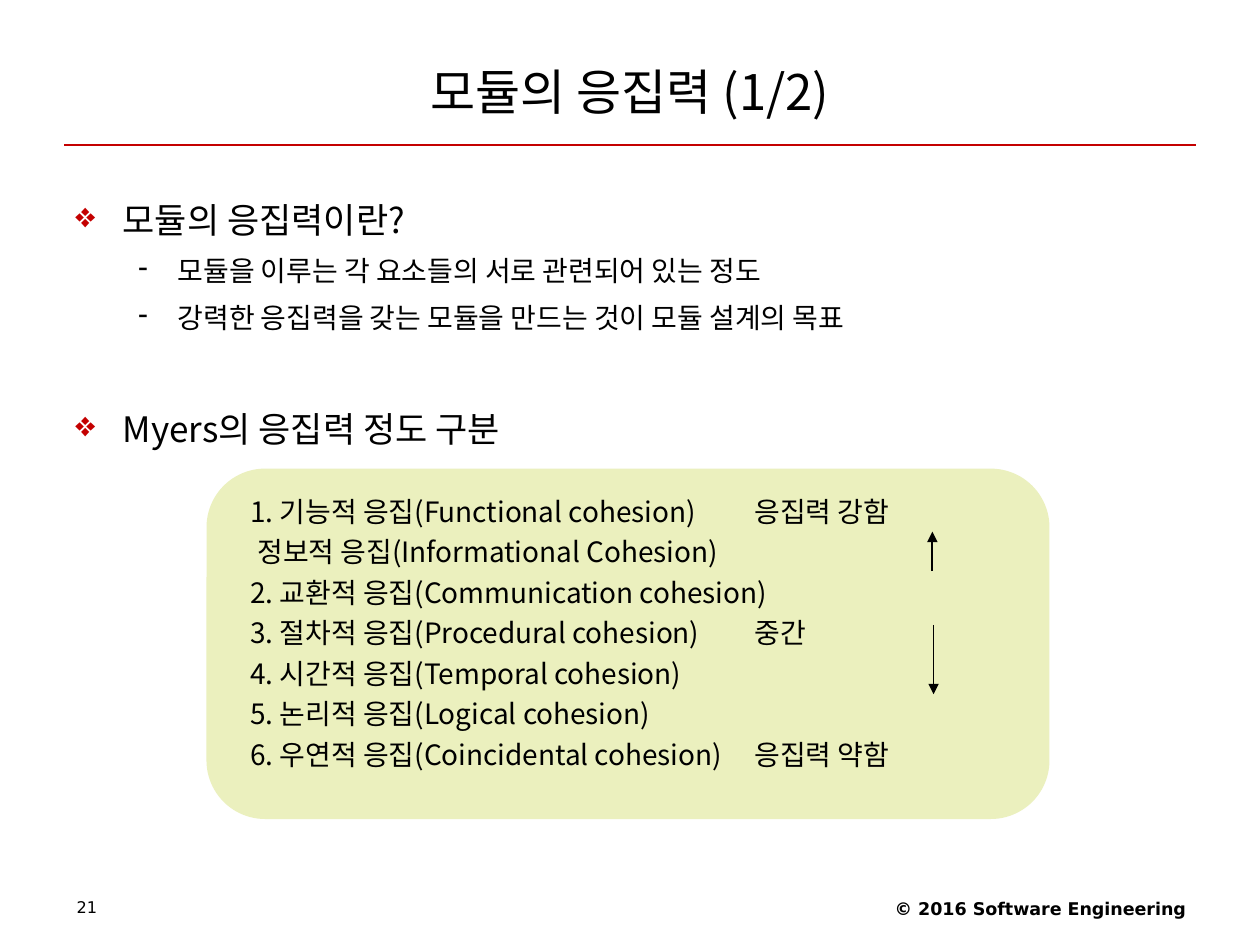
from lxml import etree
from pptx import Presentation
from pptx.dml.color import RGBColor
from pptx.enum import shapes, text
from pptx.oxml import ns
from pptx.util import Pt

COLORS = {"ink": "000000", "accent": "C40000", "panel": "EBF0BE"}
KOREAN = "Noto Sans CJK KR"
LATIN = "DejaVu Sans"

TOPICS = [
    ("모듈의 응집력이란?", [
        "모듈을 이루는 각 요소들의 서로 관련되어 있는 정도",
        "강력한 응집력을 갖는 모듈을 만드는 것이 모듈 설계의 목표",
    ]),
    ("Myers의 응집력 정도 구분", []),
]
COHESION_LEVELS = [
    ("1. 기능적 응집(Functional cohesion)", "응집력 강함", 320.5),
    ("정보적 응집(Informational Cohesion)", None, None),
    ("2. 교환적 응집(Communication cohesion)", None, None),
    ("3. 절차적 응집(Procedural cohesion)", "중간", 337),
    ("4. 시간적 응집(Temporal cohesion)", None, None),
    ("5. 논리적 응집(Logical cohesion)", None, None),
    ("6. 우연적 응집(Coincidental cohesion)", "응집력 약함", 325),
]


def rgb(name):
    return RGBColor.from_string(COLORS[name])


def add_xml(parent, tag, **attributes):
    return etree.SubElement(parent, ns.qn(tag), attributes)


def add_frame(slide, box, anchor=text.MSO_ANCHOR.TOP):
    frame = slide.shapes.add_textbox(*map(Pt, box)).text_frame
    frame.word_wrap = True
    frame.vertical_anchor = anchor
    return frame


def write(frame, words, size, font=KOREAN, bold=False, align=text.PP_ALIGN.LEFT,
          level=0, indent=0, hanging=0, spacing=1.0, before=0, bullet=None,
          bullet_color="ink", tab=None):
    paragraph = frame.paragraphs[0]
    if paragraph.runs:
        paragraph = frame.add_paragraph()
    paragraph.alignment = align
    paragraph.level = level
    paragraph.line_spacing = spacing
    paragraph.space_before = Pt(before)
    properties = paragraph._p.get_or_add_pPr()
    properties.set("marL", str(Pt(indent)))
    properties.set("indent", str(Pt(-hanging)))
    if bullet:
        color = add_xml(properties, "a:buClr")
        add_xml(color, "a:srgbClr", val=COLORS[bullet_color])
        add_xml(properties, "a:buChar", char=bullet)
    if tab:
        stops = add_xml(properties, "a:tabLst")
        add_xml(stops, "a:tab", pos=str(Pt(tab)), algn="l")
    run = paragraph.add_run()
    run.text = words
    run.font.size = Pt(size)
    run.font.name = font
    run.font.bold = bold
    run.font.color.rgb = rgb("ink")
    add_xml(run._r.get_or_add_rPr(), "a:ea", typeface=font)


def add_line(slide, start, end, color, width, arrow=False):
    line = slide.shapes.add_connector(
        shapes.MSO_CONNECTOR.STRAIGHT, *map(Pt, (*start, *end)))
    line.line.color.rgb = rgb(color)
    line.line.width = Pt(width)
    if arrow:
        add_xml(line.line._get_or_add_ln(), "a:tailEnd", type="triangle")
    add_xml(line._element.spPr, "a:effectLst")


def add_title(slide, box):
    left, top, width, height = box
    write(add_frame(slide, box, text.MSO_ANCHOR.MIDDLE), "모듈의 응집력 (1/2)", 28,
          align=text.PP_ALIGN.CENTER)
    rule_y = top + height
    add_line(slide, (left + 0.7, rule_y), (left + width - 0.7, rule_y), "accent", 0.75)


def add_topics(slide, box):
    frame = add_frame(slide, box)
    for number, (heading, details) in enumerate(TOPICS):
        write(frame, heading, 20, indent=27, hanging=27, spacing=1.4,
              before=32 if number else 5, bullet="❖", bullet_color="accent")
        for detail in details:
            write(frame, detail, 16, level=1, indent=58.5, hanging=22.5,
                  spacing=1.2, before=4, bullet="-")


def add_cohesion_scale(slide, box):
    left, top, width, height = box
    panel = slide.shapes.add_shape(
        shapes.MSO_SHAPE.ROUNDED_RECTANGLE, *map(Pt, box))
    panel.adjustments[0] = 0.167
    panel.shadow.inherit = False
    panel.fill.solid()
    panel.fill.fore_color.rgb = rgb("panel")
    panel.line.fill.background()

    frame = add_frame(slide, (left + 18, top + 10.5, width - 36, height - 34))
    frame.margin_top = Pt(4)
    for number, (level_name, strength, tab) in enumerate(COHESION_LEVELS):
        words = f"{level_name}\t{strength}" if strength else level_name
        write(frame, words, 16, before=4 if number else 0, tab=tab,
              indent=0 if level_name[0].isdigit() else 4)

    for x, start, end in ((414.8, 58.5, 36), (415.5, 89.3, 128.9)):
        add_line(slide, (left + x, top + start), (left + x, top + end),
                 "ink", 1, arrow=True)


def add_footer(slide, box):
    left, top, width, height = box
    write(add_frame(slide, (left + width - 228, top, 228, height)),
          "© 2016 Software Engineering", 10, font=LATIN, bold=True,
          align=text.PP_ALIGN.RIGHT)
    write(add_frame(slide, (left, top + 0.7, 168, height)), "21", 9.2,
          font=LATIN, spacing=0.9)


def main():
    deck = Presentation()
    deck.slide_width, deck.slide_height = Pt(720), Pt(540)
    slide = deck.slides.add_slide(deck.slide_layouts[6])
    add_title(slide, (36, 21.6, 648, 61.2))
    add_topics(slide, (36, 100, 648, 397))
    add_cohesion_scale(slide, (118, 267.8, 481.7, 200.2))
    add_footer(slide, (36.7, 509.8, 648, 20.5))
    deck.save("out.pptx")


if __name__ == "__main__":
    main()
